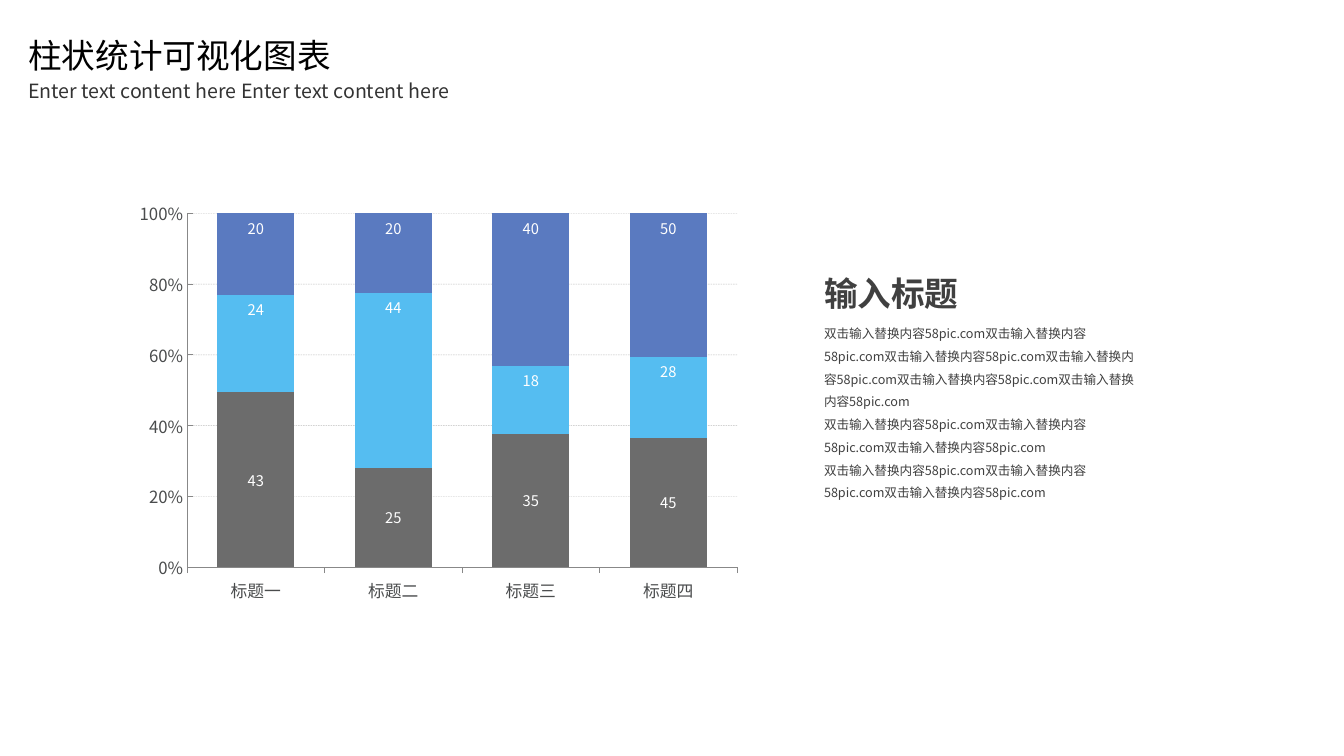
from dataclasses import dataclass

from lxml import etree
from pptx import Presentation
from pptx.chart.data import CategoryChartData
from pptx.dml.color import RGBColor
from pptx.enum import chart as ch, dml, text
from pptx.oxml import parse_xml
from pptx.oxml.ns import nsdecls, qn
from pptx.util import Pt


@dataclass(frozen=True)
class Theme:
    font: str = "Noto Sans CJK JP"
    ink: str = "000000"
    subtitle: str = "333333"
    body: str = "404040"
    axis_text: str = "4A4C4D"
    axis_line: str = "888888"
    label: str = "FFFFFF"
    series: tuple = ("6C6C6C", "55BDF1", "5A7AC0")
    title_size: float = 24
    subtitle_size: float = 14
    axis_size: float = 12
    label_size: float = 10.5
    body_size: float = 9


def set_font(font, size, color, name, bold=False):
    font.size, font.bold, font.name = Pt(size), bold, name
    font.color.rgb = RGBColor.from_string(color)
    rPr = font._element
    ea = etree.Element(qn("a:ea"), typeface=name)
    rPr.find(qn("a:latin")).addnext(ea)


def write(tf, paragraphs, *, size, color, name, bold=False, spacing=1.0,
          wrap=True, anchor=text.MSO_ANCHOR.MIDDLE):
    tf.word_wrap, tf.vertical_anchor = wrap, anchor
    tf.auto_size = text.MSO_AUTO_SIZE.NONE
    tf.margin_left = tf.margin_right = Pt(7.2)
    tf.margin_top = tf.margin_bottom = Pt(3.6)
    for i, line in enumerate(paragraphs):
        p = tf.add_paragraph() if i else tf.paragraphs[0]
        p.alignment, p.line_spacing = text.PP_ALIGN.LEFT, spacing
        p.space_before = p.space_after = Pt(0)
        r = p.add_run()
        r.text = line
        set_font(r.font, size, color, name, bold)


class Deck:
    def __init__(self, theme):
        self.theme = theme
        self.prs = Presentation()
        self.prs.slide_width, self.prs.slide_height = Pt(960), Pt(540)
        self.s = self.prs.slides.add_slide(self.prs.slide_layouts[5])

    def title(self, line, x, y, w, h):
        sp = self.s.shapes.title
        sp.left, sp.top, sp.width, sp.height = Pt(x), Pt(y), Pt(w), Pt(h)
        write(sp.text_frame, [line], size=self.theme.title_size,
              color=self.theme.ink, name=self.theme.font)

    def text(self, paragraphs, x, y, w, h, **fmt):
        sp = self.s.shapes.add_textbox(Pt(x), Pt(y), Pt(w), Pt(h))
        write(sp.text_frame, paragraphs, name=self.theme.font, **fmt)

    def stacked_columns(self, categories, rows, x, y, w, h):
        t = self.theme
        data = CategoryChartData()
        data.categories = categories
        for i, values in enumerate(rows, 1):
            data.add_series(f"Series {i}", values)
        chart = self.s.shapes.add_chart(
            ch.XL_CHART_TYPE.COLUMN_STACKED_100, Pt(x), Pt(y), Pt(w), Pt(h), data).chart
        chart.has_legend = chart.has_title = False
        set_font(chart.font, t.axis_size, t.axis_text, t.font)

        # Columns and their value labels
        plot = chart.plots[0]
        plot.gap_width, plot.overlap, plot.vary_by_categories = 78, 100, False
        for i, (series, color) in enumerate(zip(plot.series, t.series)):
            series.format.fill.solid()
            series.format.fill.fore_color.rgb = RGBColor.from_string(color)
            labels = series.data_labels
            labels.show_value = True
            labels.position = (ch.XL_LABEL_POSITION.INSIDE_END if i
                               else ch.XL_LABEL_POSITION.CENTER)
            set_font(labels.font, t.label_size, t.label, t.font)

        # Axes and gridlines
        cat, val = chart.category_axis, chart.value_axis
        cat.major_tick_mark = ch.XL_TICK_MARK.OUTSIDE
        val.major_tick_mark = ch.XL_TICK_MARK.INSIDE
        val.minimum_scale, val.maximum_scale, val.major_unit = 0, 1, 0.2
        val.tick_labels.number_format = "0%"
        val.tick_labels.number_format_is_linked = False
        grid = val.major_gridlines.format.line
        for line, width in ((cat.format.line, 0.75), (val.format.line, 0.75), (grid, 0.25)):
            line.width = Pt(width)
            line.color.rgb = RGBColor.from_string(t.axis_line)
        grid.dash_style = dml.MSO_LINE.DASH
        color = val.major_gridlines._xAx.find(".//" + qn("c:majorGridlines")).find(
            ".//" + qn("a:srgbClr"))
        etree.SubElement(color, qn("a:alpha"), val="57000")

        # Plot area as shares of the chart frame
        frame = dict(x=0.1, y=0.05, w=0.88, h=0.85)
        parts = "".join(f'<c:{k}Mode val="edge"/>' for k in "xy")
        parts += "".join(f'<c:{k} val="{v}"/>' for k, v in frame.items())
        area = chart._chartSpace.chart.plotArea
        for old in area.findall(qn("c:layout")):
            area.remove(old)
        area.insert(0, parse_xml(
            f'<c:layout {nsdecls("c")}><c:manualLayout><c:layoutTarget val="inner"/>'
            f'{parts}</c:manualLayout></c:layout>'))


def main():
    theme = Theme()
    deck = Deck(theme)

    # Heading
    deck.title("柱状统计可视化图表", 13, 21, 272, 36)
    deck.text(["Enter text content here Enter text content here"], 13, 52.5, 449, 24.5,
              size=theme.subtitle_size, color=theme.subtitle)

    # Chart
    deck.stacked_columns(
        ["标题一", "标题二", "标题三", "标题四"],
        [(43, 25, 35, 45), (24, 44, 18, 28), (20, 20, 40, 50)],
        89, 137.5, 446.5, 297.5)

    # Explanation
    deck.text(["输入标题"], 581.5, 191.5, 112, 36, size=theme.title_size,
              color=theme.body, bold=True, wrap=False)
    phrase = "双击输入替换内容58pic.com"
    deck.text([phrase * n for n in (6, 3, 3)], 581.5, 224, 242, 138,
              size=theme.body_size, color=theme.body, spacing=1.5,
              anchor=text.MSO_ANCHOR.TOP)

    deck.prs.save("out.pptx")


if __name__ == "__main__":
    main()
